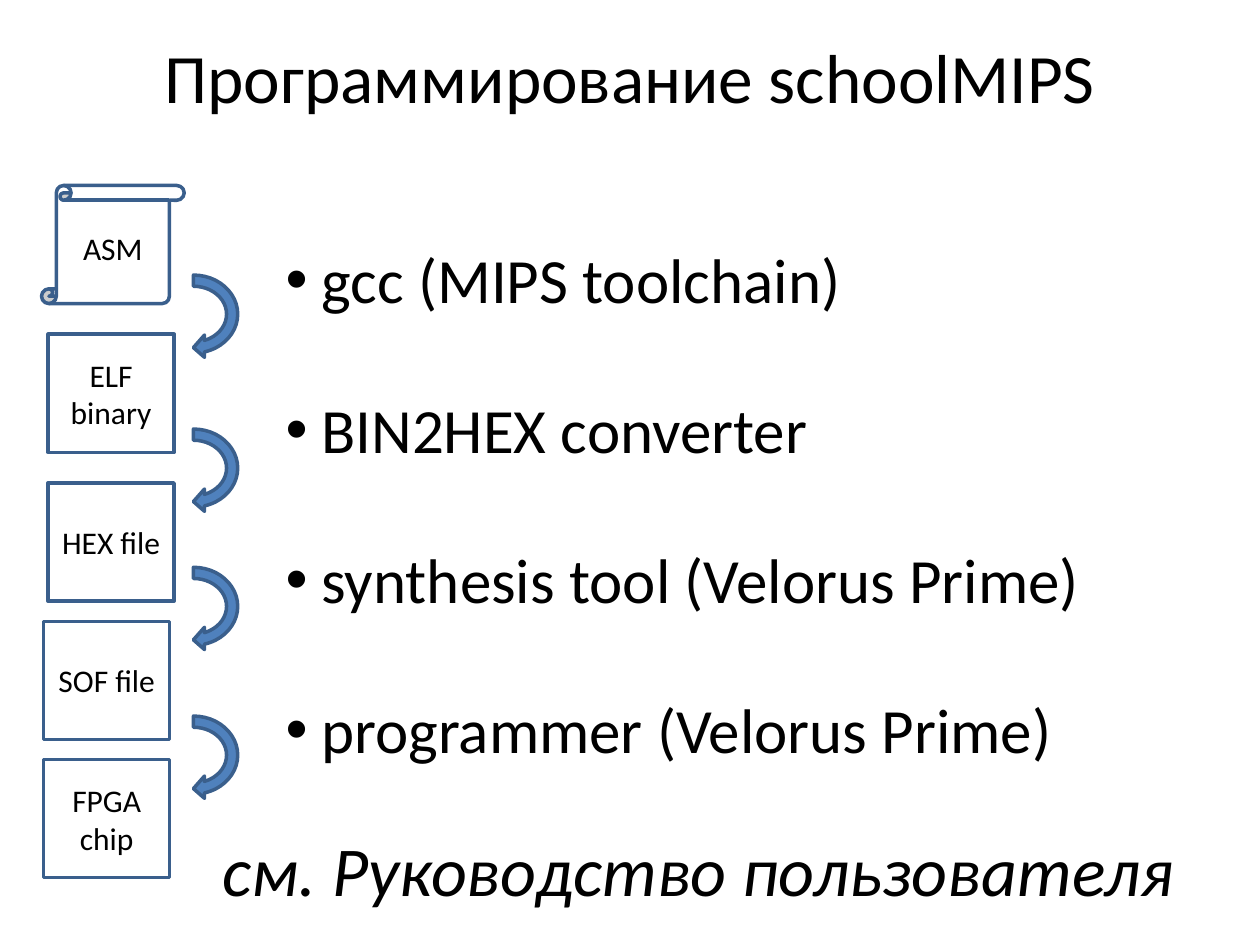
from dataclasses import dataclass

from pptx import Presentation
from pptx.dml.color import RGBColor
from pptx.enum import shapes, text
from pptx.util import Pt

COLORS = {"ink": "000000", "paper": "FFFFFF", "outline": "3A5F8C", "arrow": "4F81BD"}
FONT = "Calibri"
SHAPE = shapes.MSO_SHAPE


@dataclass
class Stage:
    """One artefact of the build chain; lengths in points."""
    lines: tuple[str, ...]
    left: float
    top: float
    width: float = 72
    kind: SHAPE = SHAPE.FLOWCHART_PROCESS


STAGES = [
    Stage(("ASM",), 23.75, 106, 81.5, SHAPE.VERTICAL_SCROLL),
    Stage(("ELF", "binary"), 27.5, 191),
    Stage(("HEX file",), 27.5, 276),
    Stage(("SOF file",), 25, 355),
    Stage(("FPGA", "chip"), 25, 434),
]
STAGE_HEIGHT = 67.5
ARROW_TOPS = (151, 239, 318, 403)
TOOLS = (
    "gcc (MIPS toolchain)",
    "BIN2HEX converter",
    "synthesis tool (Velorus Prime)",
    "programmer (Velorus Prime)",
)


def rgb(name: str) -> RGBColor:
    return RGBColor.from_string(COLORS[name])


def place(shape, left: float, top: float, width: float, height: float) -> None:
    shape.left, shape.top = Pt(left), Pt(top)
    shape.width, shape.height = Pt(width), Pt(height)


def write(frame, lines, size: float, align, italic: bool = False) -> None:
    """Fill a text frame with one paragraph per line."""
    frame.auto_size = text.MSO_AUTO_SIZE.NONE
    for index, line in enumerate(lines):
        paragraph = frame.add_paragraph() if index else frame.paragraphs[0]
        paragraph.alignment = align
        run = paragraph.add_run()
        run.text = line
        run.font.name, run.font.size = FONT, Pt(size)
        run.font.italic = italic
        run.font.color.rgb = rgb("ink")


def add_outlined(slide, kind, box, fill: str):
    shape = slide.shapes.add_shape(kind, *map(Pt, box))
    shape.shadow.inherit = False
    shape.fill.solid()
    shape.fill.fore_color.rgb = rgb(fill)
    shape.line.color.rgb = rgb("outline")
    shape.line.width = Pt(2)
    return shape


def add_stage(slide, stage: Stage) -> None:
    box = (stage.left, stage.top, stage.width, STAGE_HEIGHT)
    frame = add_outlined(slide, stage.kind, box, "paper").text_frame
    frame.word_wrap = False
    frame.vertical_anchor = text.MSO_ANCHOR.MIDDLE
    write(frame, stage.lines, 18, text.PP_ALIGN.CENTER)


def add_tools(body) -> None:
    place(body, 156, 134, 527, 312.5)
    frame = body.text_frame
    frame.vertical_anchor = text.MSO_ANCHOR.TOP
    write(frame, TOOLS, 36, text.PP_ALIGN.LEFT)
    for paragraph in frame.paragraphs:
        paragraph.space_before, paragraph.space_after = Pt(0), Pt(42.5)
        properties = paragraph._p.get_or_add_pPr()
        properties.set("marL", str(Pt(20.5)))
        properties.set("indent", str(-Pt(20.5)))


def main() -> None:
    deck = Presentation()
    deck.slide_width, deck.slide_height = Pt(720), Pt(540)
    slide = deck.slides.add_slide(deck.slide_layouts[1])

    title = slide.shapes.title
    place(title, 36, 21.5, 648, 44)
    title.text_frame.vertical_anchor = text.MSO_ANCHOR.MIDDLE
    write(title.text_frame, ["Программирование schoolMIPS"], 39.6, text.PP_ALIGN.CENTER)
    add_tools(slide.placeholders[1])

    for stage in STAGES:
        add_stage(slide, stage)
    for top in ARROW_TOPS:
        arrow = add_outlined(slide, SHAPE.CIRCULAR_ARROW, (85, top, 51, 57), "arrow")
        arrow.rotation = 90

    manual = slide.shapes.add_textbox(Pt(120), Pt(469), Pt(566), Pt(55.5)).text_frame
    manual.word_wrap = True
    write(manual, ["см. Руководство пользователя"], 40, text.PP_ALIGN.LEFT, italic=True)

    deck.save("out.pptx")


if __name__ == "__main__":
    main()
